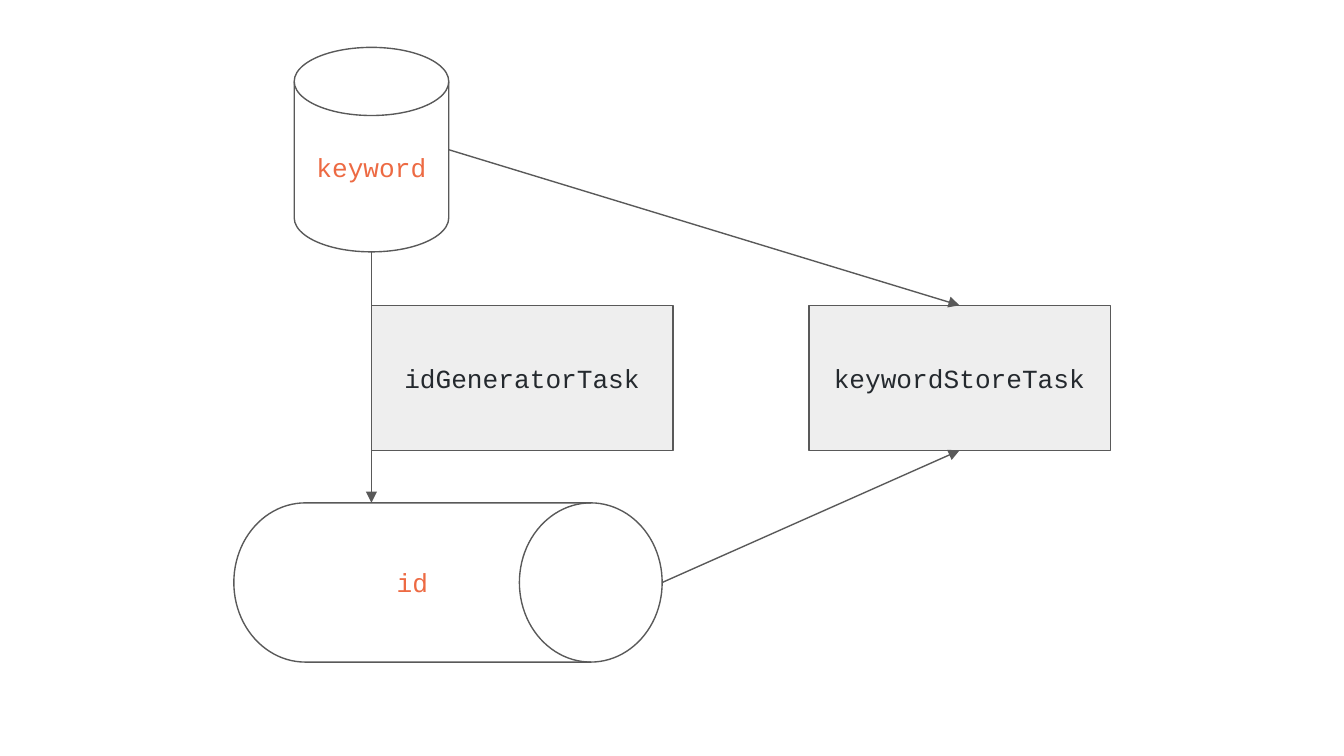
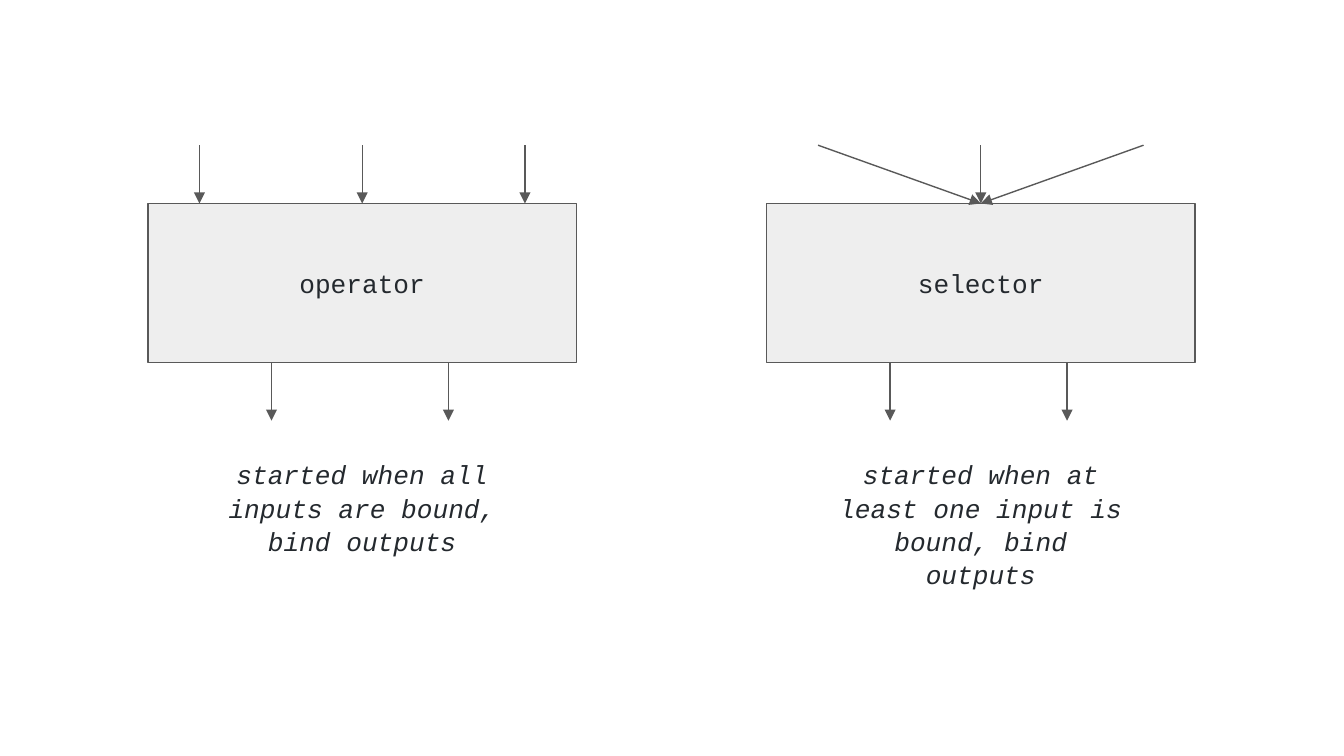
from dataclasses import dataclass

import pptx
import pptx.dml.color
import pptx.enum.shapes
import pptx.enum.text
import pptx.oxml
import pptx.oxml.ns
import pptx.slide
import pptx.text.text
import pptx.util

Pt = pptx.util.Pt
Kind = pptx.enum.shapes.MSO_SHAPE
Anchor = pptx.enum.text.MSO_ANCHOR
Point = tuple[float, float]

COLORS = {"line": "595959", "task": "EEEEEE", "text": "24292E", "data": "ED6A43"}
FONT = "Courier New"
FONT_SIZE = 14
INSET = 7.2
LINE_WIDTH = 0.75


@dataclass
class Node:
    """A labelled task box or data store; lengths are in points."""
    label: str
    left: float
    top: float
    width: float
    height: float
    kind: Kind = Kind.RECTANGLE
    fill: str | None = "task"
    color: str = "text"

    @property
    def center(self) -> float:
        return self.left + self.width / 2

    @property
    def middle(self) -> float:
        return self.top + self.height / 2

    @property
    def right(self) -> float:
        return self.left + self.width

    @property
    def bottom(self) -> float:
        return self.top + self.height


@dataclass
class TaskKind:
    """A task box with its input and output arrows and a caption."""
    name: str
    caption: str
    left: float
    merges_inputs: bool


def rgb(name: str) -> pptx.dml.color.RGBColor:
    return pptx.dml.color.RGBColor.from_string(COLORS[name])


def set_text(frame: pptx.text.text.TextFrame, text: str, color: str,
             anchor: Anchor, italic: bool = False) -> None:
    frame.word_wrap = True
    frame.vertical_anchor = anchor
    frame.margin_left = frame.margin_right = Pt(INSET)
    frame.margin_top = frame.margin_bottom = Pt(INSET)
    para = frame.paragraphs[0]
    para.text = text
    para.alignment = pptx.enum.text.PP_ALIGN.CENTER
    para.font.name = FONT
    para.font.size = Pt(FONT_SIZE)
    para.font.italic = italic
    para.font.color.rgb = rgb(color)


def draw_node(page: pptx.slide.Slide, node: Node) -> None:
    shape = page.shapes.add_shape(node.kind, Pt(node.left), Pt(node.top),
                                  Pt(node.width), Pt(node.height))
    shape.shadow.inherit = False
    if node.fill:
        shape.fill.solid()
        shape.fill.fore_color.rgb = rgb(node.fill)
    else:
        shape.fill.background()
    shape.line.color.rgb = rgb("line")
    shape.line.width = Pt(LINE_WIDTH)
    set_text(shape.text_frame, node.label, node.color, Anchor.MIDDLE)


def draw_arrow(page: pptx.slide.Slide, start: Point, end: Point) -> None:
    arrow = page.shapes.add_connector(
        pptx.enum.shapes.MSO_CONNECTOR.STRAIGHT,
        Pt(start[0]), Pt(start[1]), Pt(end[0]), Pt(end[1]))
    arrow.line.color.rgb = rgb("line")
    arrow.line.width = Pt(LINE_WIDTH)
    namespace = pptx.oxml.ns.nsdecls("a")
    arrow.line._get_or_add_ln().append(
        pptx.oxml.parse_xml(f'<a:tailEnd {namespace} type="triangle"/>'))
    arrow._element.spPr.append(pptx.oxml.parse_xml(f"<a:effectLst {namespace}/>"))


def draw_caption(page: pptx.slide.Slide, text: str, center: float) -> None:
    width = 173.6
    box = page.shapes.add_textbox(Pt(center - width / 2), Pt(237.6), Pt(width), Pt(65.5))
    set_text(box.text_frame, text, "text", Anchor.TOP, italic=True)
    box.text_frame.paragraphs[0].line_spacing = 1.06


def build_data_flow(page: pptx.slide.Slide) -> None:
    keyword = Node("keyword", 157.6, 25.4, 82.8, 109.6,
                   Kind.FLOWCHART_MAGNETIC_DISK, None, "data")
    drum = Node("id", 125.3, 269.4, 229.5, 85.3,
                Kind.FLOWCHART_DIRECT_ACCESS_STORAGE, None, "data")
    generator = Node("idGeneratorTask", keyword.center, 163.6, 161.5, 77.7)
    store = Node("keywordStoreTask", 433.3, 163.6, 161.5, 77.7)

    # The generator box covers nothing of the arrow along its left edge
    draw_node(page, drum)
    draw_arrow(page, (keyword.center, keyword.bottom), (keyword.center, drum.top))
    draw_node(page, generator)
    draw_node(page, store)
    draw_arrow(page, (keyword.right, keyword.middle), (store.center, store.top))
    draw_arrow(page, (drum.right, drum.middle), (store.center, store.bottom))
    draw_node(page, keyword)


def draw_task_kind(page: pptx.slide.Slide, task: TaskKind) -> None:
    arrow_length = 31.2
    box = Node(task.name, task.left, 109, 229.7, 85.2)
    draw_caption(page, task.caption, box.center)
    draw_node(page, box)

    # Inputs from above, either side by side or meeting in one point
    for offset in (-87.2, 87.2, 0):
        start = box.center + offset
        end = box.center if task.merges_inputs else start
        draw_arrow(page, (start, box.top - arrow_length), (end, box.top))

    # Outputs below
    for offset in (-48.6, 46.2):
        x = box.center + offset
        draw_arrow(page, (x, box.bottom), (x, box.bottom + arrow_length))


def main() -> None:
    deck = pptx.Presentation()
    deck.slide_width, deck.slide_height = Pt(720), Pt(405)
    blank = deck.slide_layouts[6]

    # Slide 1: data flow between stores and tasks
    build_data_flow(deck.slides.add_slide(blank))

    # Slide 2: operator and selector tasks
    page = deck.slides.add_slide(blank)
    for task in (
        TaskKind("operator", "started when all inputs are bound, bind outputs",
                 79.2, False),
        TaskKind("selector", "started when at least one input is bound, bind outputs",
                 410.6, True),
    ):
        draw_task_kind(page, task)

    deck.save("out.pptx")


if __name__ == "__main__":
    main()
